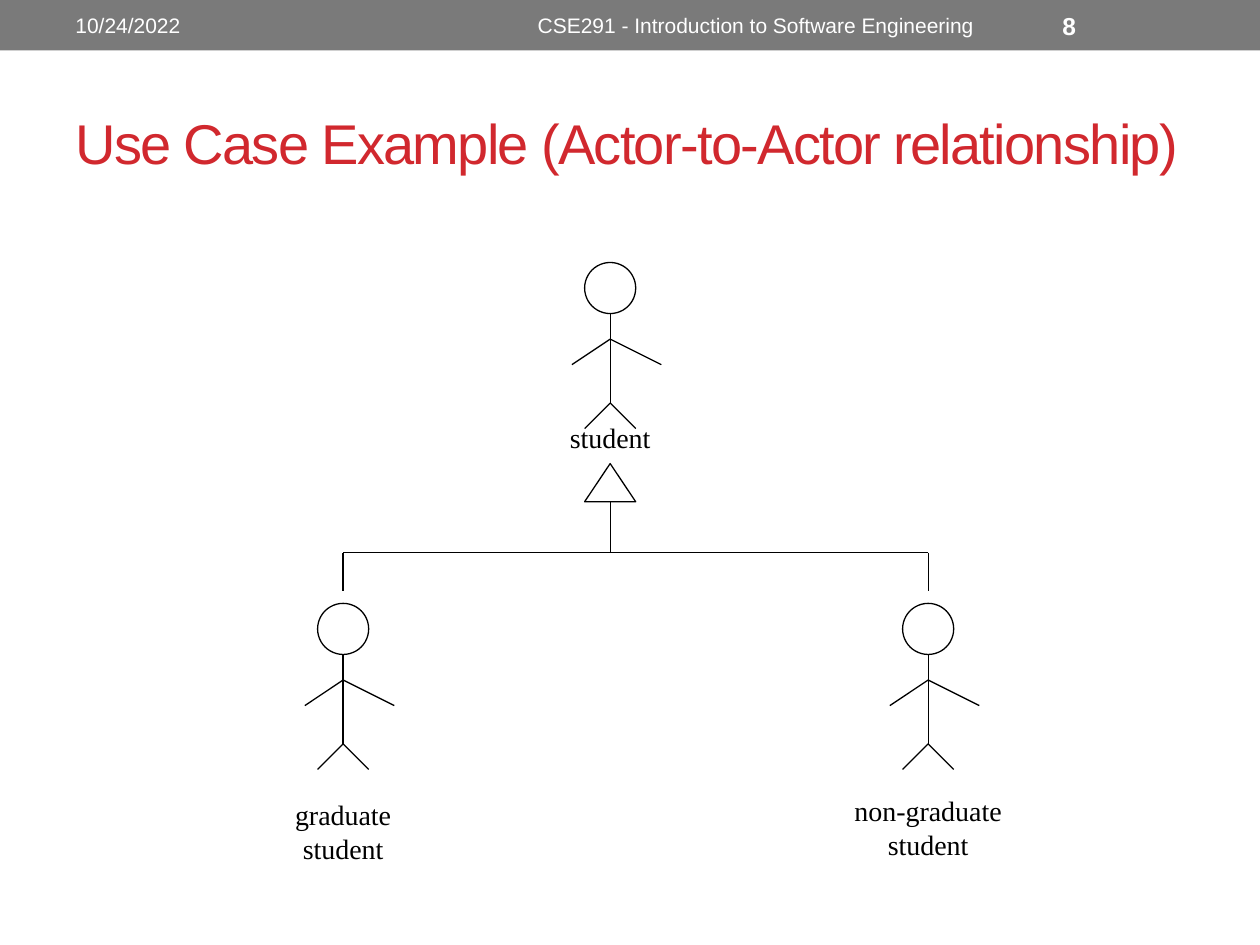
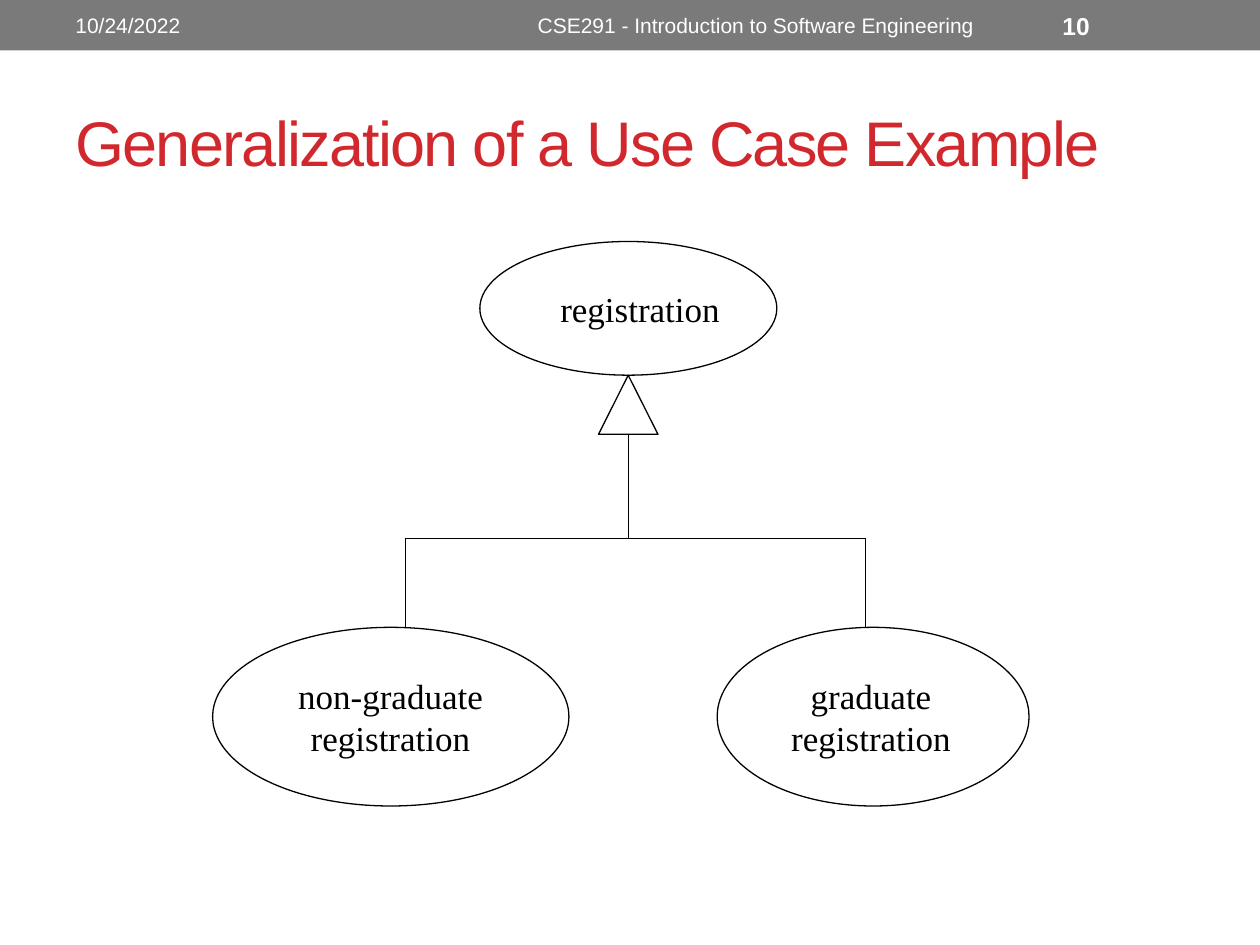
from pptx import Presentation
from pptx.dml.color import RGBColor
from pptx.enum.shapes import MSO_CONNECTOR as Conn, MSO_SHAPE as Shape
from pptx.enum.text import MSO_ANCHOR as Anchor, PP_ALIGN as Align
from pptx.oxml.ns import qn
from pptx.util import Pt
from lxml.etree import SubElement

GRAY = RGBColor(0x7A, 0x7A, 0x7A)
RED = RGBColor(0xD1, 0x28, 0x2E)
WHITE = RGBColor(0xFF, 0xFF, 0xFF)
BLACK = RGBColor(0, 0, 0)
SANS, SERIF = "Arial", "Times New Roman"
WIDE, HIGH = 720, 540
UNIT = 14.6  # half the width of an actor's head


def write(frame, text, size=12, font=SANS, color=WHITE, bold=False,
          align=Align.LEFT, anchor=Anchor.MIDDLE, gap=None):
    """Fill a text frame, one paragraph for each line of text."""
    frame.word_wrap = True
    frame.vertical_anchor = anchor
    for i, line in enumerate(text.split("\n")):
        para = frame.paragraphs[0] if i == 0 else frame.add_paragraph()
        para.alignment = align
        run = para.add_run()
        run.text = line
        face = run.font
        face.name, face.size, face.bold = font, Pt(size), bold
        face.color.rgb = color
        if gap is not None:
            run._r.get_or_add_rPr().set("spc", str(round(gap * 100)))


class Deck:
    def __init__(self):
        self.prs = Presentation()
        self.prs.slide_width, self.prs.slide_height = Pt(WIDE), Pt(HIGH)
        self.slide = None

    def text(self, x, y, w, h, text, **style):
        box = self.slide.shapes.add_textbox(Pt(x), Pt(y), Pt(w), Pt(h))
        write(box.text_frame, text, **style)

    def label(self, mid, y, text, size):
        """Diagram label centred on the line x = mid."""
        self.text(mid - 90, y, 180, 27, text, size=size, font=SERIF,
                  color=BLACK, align=Align.CENTER, anchor=Anchor.TOP)

    def shape(self, kind, x, y, w, h, fill=None):
        item = self.slide.shapes.add_shape(kind, Pt(x), Pt(y), Pt(w), Pt(h))
        item.shadow.inherit = False
        if fill is None:
            item.fill.background()
            item.line.color.rgb = BLACK
            item.line.width = Pt(0.75)
        else:
            item.fill.solid()
            item.fill.fore_color.rgb = fill
            item.line.fill.background()

    def line(self, x1, y1, x2, y2):
        item = self.slide.shapes.add_connector(
            Conn.STRAIGHT, Pt(x1), Pt(y1), Pt(x2), Pt(y2))
        item.line.color.rgb = BLACK
        item.line.width = Pt(0.75)
        SubElement(item._element.spPr, qn("a:effectLst"))

    def page(self, number, title, size):
        """New slide with its top band and title."""
        self.slide = self.prs.slides.add_slide(self.prs.slide_layouts[6])
        self.shape(Shape.RECTANGLE, 0, 0, WIDE, 28.8, fill=GRAY)
        self.text(36, 1.5, 228, 26, "10/24/2022")
        self.text(270, 1.5, 324, 26,
                  "CSE291 - Introduction to Software Engineering",
                  align=Align.CENTER)
        self.text(600, 1.5, 84, 26, str(number), size=14, bold=True)
        self.text(36, 42, 648, 78, title, size=size, color=RED, gap=-1)

    def actor(self, mid, top, name, below):
        """Stick figure; limbs are placed in units from the head's top."""
        self.shape(Shape.OVAL, mid - UNIT, top, 2 * UNIT, 2 * UNIT)
        limbs = [(0, 2, 0, 5.5),                  # body
                 (0, 3, 2, 4), (0, 3, -1.5, 4),   # arms
                 (0, 5.5, 1, 6.5), (0, 5.5, -1, 6.5)]  # legs
        for x1, y1, x2, y2 in limbs:
            self.line(mid + x1 * UNIT, top + y1 * UNIT,
                      mid + x2 * UNIT, top + y2 * UNIT)
        self.label(mid, below, name, 16)

    def case(self, x, y, w, h, name, mid, below):
        """Use case oval with its label."""
        self.shape(Shape.OVAL, x, y, w, h)
        self.label(mid, below, name, 20)

    def tree(self, mid, tip, w, h, bar, ends, foot):
        """Generalization arrow joining the ends to the parent."""
        self.shape(Shape.ISOSCELES_TRIANGLE, mid - w / 2, tip, w, h)
        self.line(mid, tip + h, mid, bar)
        self.line(ends[0], bar, ends[-1], bar)
        for x in ends:
            self.line(x, bar, x, foot)


def main():
    deck = Deck()

    # Actors
    deck.page(8, "Use Case Example (Actor-to-Actor relationship)", 32)
    top, left, right = 348.7, 196.1, 530.4
    deck.actor(top, 150, "student", 236.9)
    deck.actor(right, 344.8, "non-graduate\nstudent", 449.9)
    deck.actor(left, 344.8, "graduate\nstudent", 452.2)
    deck.tree(top, 264.9, 2 * UNIT, 21.8, 315.8, (left, right), 337.6)

    # Use cases
    deck.page(10, "Generalization of a Use Case Example", 36)
    deck.case(274.2, 138, 169.7, 76.4, "registration", 365.8, 160.6)
    deck.case(409.8, 358.5, 178.2, 102.1, "graduate\nregistration",
              497.8, 382)
    deck.case(121.5, 358.5, 203.6, 102.1, "non-graduate\nregistration",
              223.2, 382)
    deck.tree(359, 214.4, 34, 33.8, 307.6, (231.8, 494.6), 358.5)

    deck.prs.save("out.pptx")


if __name__ == "__main__":
    main()
